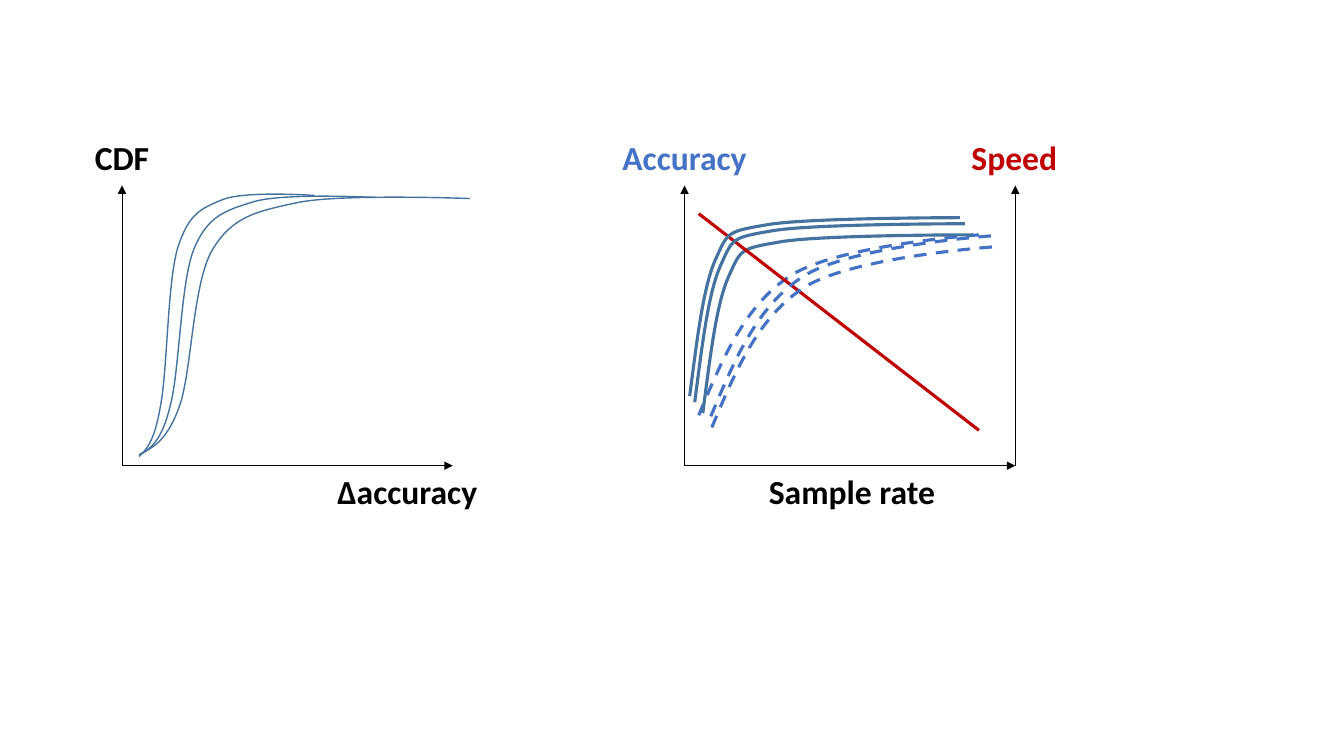
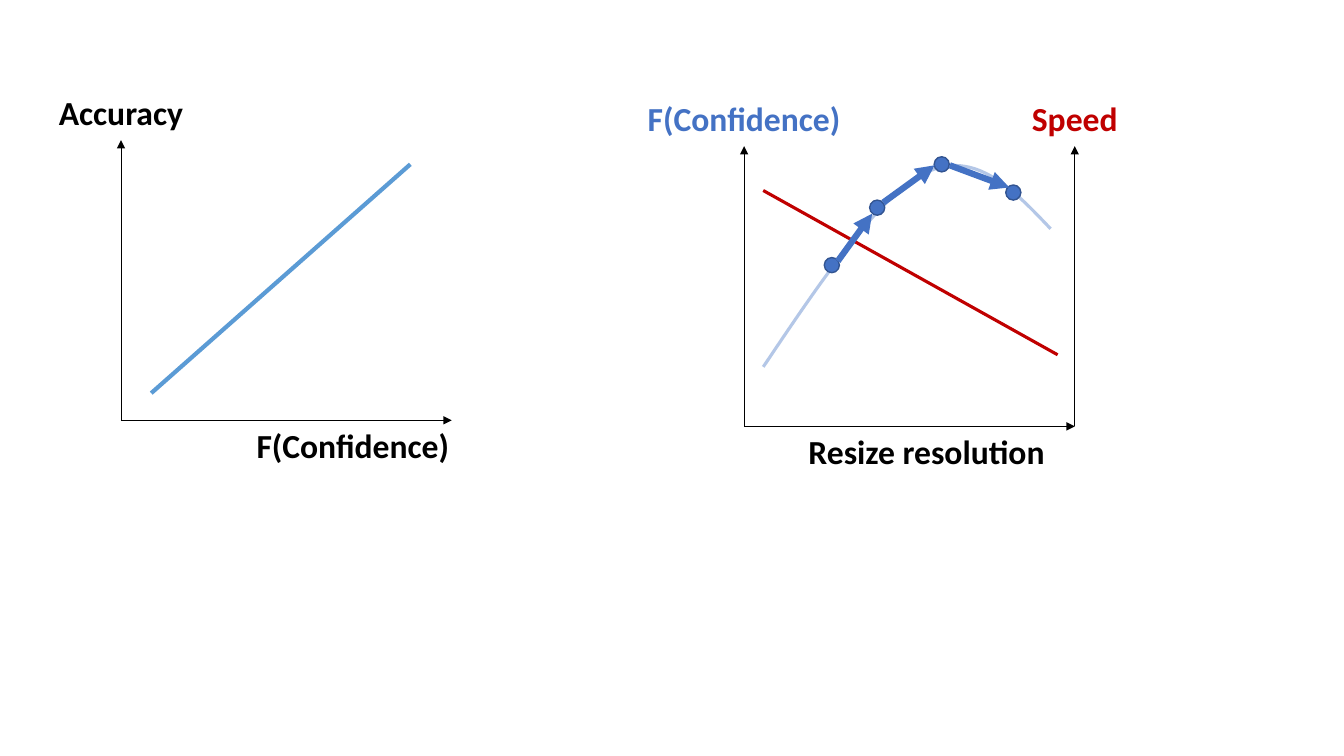
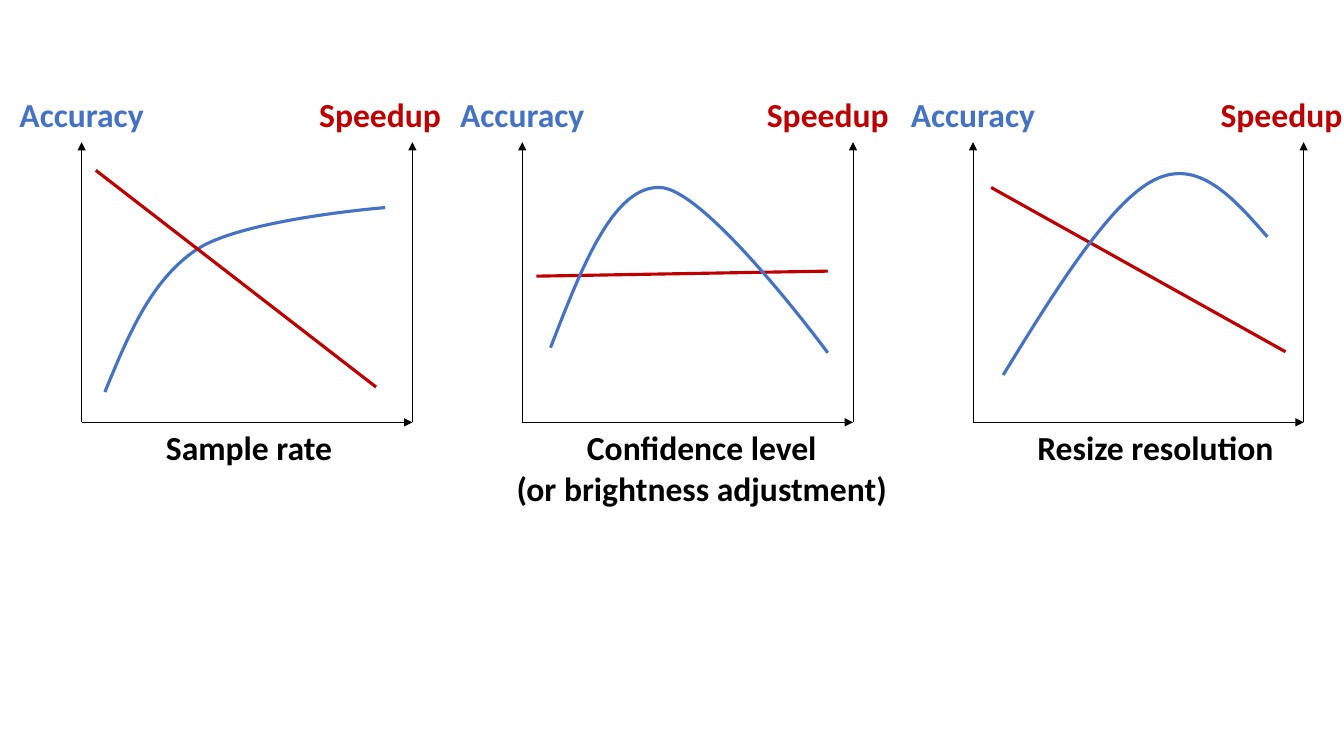
"""Build three slides of sketched accuracy and speed trade-off plots."""
import lxml.etree
import pptx
import pptx.dml.color
import pptx.enum.dml
import pptx.enum.shapes
import pptx.enum.text
import pptx.oxml.ns
import pptx.util

PX = 9144
RGBColor = pptx.dml.color.RGBColor
BLACK = RGBColor(0, 0, 0)
BLUE = RGBColor(0x44, 0x72, 0xC4)
STEEL = RGBColor(0x43, 0x73, 0x9E)
SKY = RGBColor(0x5B, 0x9B, 0xD5)
PALE = RGBColor(0xB4, 0xC7, 0xE7)
NAVY = RGBColor(0x32, 0x54, 0x91)
RED = RGBColor(0xC0, 0, 0)

AXIS_WIDTH, AXIS_HEIGHT = 328, 278
LABEL_RISE, LINE_HEIGHT, LABEL_PADDING = 53, 40, 10
DOT_SIZE = 15
LABEL_WIDTHS = {
    "CDF": 146, "Accuracy": 146, "F(Confidence)": 214, "Speed": 106,
    "Speedup": 142, "Δaccuracy": 164, "Sample rate": 187,
    "Resize resolution": 257,
    "Confidence level\n(or brightness adjustment)": 392,
}

STYLES = {
    "cdf": (STEEL, 1, False),
    "solid": (STEEL, 2.25, False),
    "dashed": (BLUE, 2.25, True),
    "accuracy": (BLUE, 2.25, False),
    "speed": (RED, 2.25, False),
    "confidence": (SKY, 3, False),
    "faded": (PALE, 2.25, False),
}

# Offsets from the start: one point is a straight line, triples are Bézier curves.
CDF = [(14, -7), (28, -14), (40, -48), (52, -81), (53, -168), (72, -202),
       (92, -236), (115, -241), (157, -250), (200, -259), (328, -254), (328, -254)]
STEEP = [(7, -53), (13, -106), (25, -134), (38, -163), (36, -163),
         (77, -170), (117, -177), (268, -177), (268, -177)]
GRADUAL = [(23, -55), (46, -110), (92, -139), (139, -169), (278, -179), (278, -179)]
HILL = [(57, -85), (115, -171), (162, -193), (210, -216), (248, -176), (285, -137)]
PEAK = [(31, -80), (62, -160), (108, -159), (154, -159), (275, 5), (275, 5)]
RISING = [(257, -227)]
SAMPLE_SPEED = [(278, 215)]
RESIZE_SPEED = [(292, 163)]
LEVEL_SPEED = [(289, -5)]

SLIDES = [
    [
        {"origin": (121, 462), "left": ("CDF", BLACK), "bottom": ("Δaccuracy", 404),
         "traces": [("cdf", CDF, (138, 451), 1, 1),
                    ("cdf", CDF, (141, 450), 0.71, 1),
                    ("cdf", CDF, (138, 453), 0.53, 1.02)]},
        {"origin": (679, 462), "left": ("Accuracy", BLUE), "right": ("Speed", 1006),
         "bottom": ("Sample rate", 845),
         "traces": [("dashed", GRADUAL, (693, 412), 1, 1),
                    ("solid", STEEP, (697, 410), 1, 1),
                    ("speed", SAMPLE_SPEED, (693, 212), 1, 1),
                    ("solid", STEEP, (689, 399), 1, 1),
                    ("dashed", GRADUAL, (705, 413), 1, 1),
                    ("dashed", GRADUAL, (706, 424), 1, 1),
                    ("solid", STEEP, (684, 393), 1, 1)]},
    ],
    [
        {"origin": (120, 417), "left": ("Accuracy", BLACK), "bottom": ("F(Confidence)", 350),
         "traces": [("confidence", RISING, (150, 390), 1, 1)]},
        {"origin": (738, 423), "left": ("F(Confidence)", BLUE), "right": ("Speed", 1066),
         "bottom": ("Resize resolution", 919),
         "traces": [("speed", RESIZE_SPEED, (757, 189), 1, 1),
                    ("faded", HILL, (757, 364), 1, 1)],
         "dots": [(870, 206), (934, 163), (825, 263), (1005, 191)],
         "steps": [((831, 259), (865, 212)), ((876, 201), (927, 164)),
                   ((942, 164), (1001, 186))]},
    ],
    [
        {"origin": (81, 419), "left": ("Accuracy", BLUE), "right": ("Speedup", 377),
         "bottom": ("Sample rate", 247),
         "traces": [("accuracy", GRADUAL, (104, 389), 1, 1.02),
                    ("speed", SAMPLE_SPEED, (95, 169), 1, 1)]},
        {"origin": (518, 419), "left": ("Accuracy", BLUE), "right": ("Speedup", 821),
         "bottom": ("Confidence level\n(or brightness adjustment)", 696),
         "traces": [("speed", LEVEL_SPEED, (532, 274), 1, 1),
                    ("accuracy", PEAK, (546, 345), 1, 1)]},
        {"origin": (965, 419), "left": ("Accuracy", BLUE), "right": ("Speedup", 1271),
         "bottom": ("Resize resolution", 1146),
         "traces": [("speed", RESIZE_SPEED, (983, 186), 1, 1),
                    ("accuracy", HILL, (995, 372), 0.92, 1)]},
    ],
]


def qn(tag):
    return pptx.oxml.ns.qn(tag)


def style_line(line, color, width, dashed=False):
    line.color.rgb = color
    line.width = pptx.util.Pt(width)
    if dashed:
        line.dash_style = pptx.enum.dml.MSO_LINE.DASH


def add_line(page, start, end, color, width, dashed=False, arrow=False):
    connector = page.shapes.add_connector(
        pptx.enum.shapes.MSO_CONNECTOR.STRAIGHT, *(value * PX for value in (*start, *end)))
    style_line(connector.line, color, width, dashed)
    properties = connector.element.spPr
    if arrow:
        lxml.etree.SubElement(properties.find(qn("a:ln")), qn("a:tailEnd"), type="triangle")
    lxml.etree.SubElement(properties, qn("a:effectLst"))


def bezier(anchors, t):
    weights = ((1 - t) ** 3, 3 * t * (1 - t) ** 2, 3 * t * t * (1 - t), t ** 3)
    return tuple(sum(weight * anchor[axis] for weight, anchor in zip(weights, anchors))
                 for axis in (0, 1))


def add_curve(page, points, color, width, dashed):
    pieces = [points[index:index + 4] for index in range(0, len(points) - 1, 3)]
    samples = [bezier(piece, step / 20) for piece in pieces for step in range(1, 21)]
    builder = page.shapes.build_freeform(*points[0], scale=PX)
    builder.add_line_segments(samples, close=False)
    curve = builder.convert_to_shape()
    curve.shadow.inherit = False
    curve.fill.background()
    style_line(curve.line, color, width, dashed)
    outline = curve.element.find(".//" + qn("a:path"))
    for segment in outline.findall(qn("a:lnTo")):
        outline.remove(segment)
    for piece in pieces:
        segment = lxml.etree.SubElement(outline, qn("a:cubicBezTo"))
        for x, y in piece[1:]:
            lxml.etree.SubElement(segment, qn("a:pt"), x=str(round(x - curve.left / PX)),
                                  y=str(round(y - curve.top / PX)))


def add_trace(page, style, offsets, start, stretch_x, stretch_y):
    points = [start] + [(start[0] + round(x * stretch_x), start[1] + round(y * stretch_y))
                        for x, y in offsets]
    draw = add_curve if len(points) > 2 else lambda page, ends, *look: add_line(page, *ends, *look)
    draw(page, points, *STYLES[style])


def add_label(page, text, center, top, color):
    width = LABEL_WIDTHS[text]
    height = LABEL_PADDING + LINE_HEIGHT * len(text.split("\n"))
    box = page.shapes.add_textbox(
        round((center - width / 2) * PX), top * PX, width * PX, height * PX)
    box.text_frame.text = text
    box.text_frame.word_wrap = False
    for paragraph in box.text_frame.paragraphs:
        paragraph.alignment = pptx.enum.text.PP_ALIGN.CENTER
        for span in paragraph.runs:
            span.font.name = "Calibri"
            span.font.size = pptx.util.Pt(24)
            span.font.bold = True
            span.font.color.rgb = color


def add_dot(page, x, y):
    dot = page.shapes.add_shape(
        pptx.enum.shapes.MSO_SHAPE.OVAL, round((x - DOT_SIZE / 2) * PX),
        round((y - DOT_SIZE / 2) * PX), DOT_SIZE * PX, DOT_SIZE * PX)
    dot.shadow.inherit = False
    dot.fill.solid()
    dot.fill.fore_color.rgb = BLUE
    style_line(dot.line, NAVY, 1)


def add_plot(page, plot):
    x, bottom = plot["origin"]
    top, right = bottom - AXIS_HEIGHT, x + AXIS_WIDTH
    axis_ends = [((x, bottom), (x, top)), ((x, bottom), (right, bottom))]
    text, color = plot["left"]
    add_label(page, text, x, top - LABEL_RISE, color)
    text, center = plot["bottom"]
    add_label(page, text, center, bottom, BLACK)
    if "right" in plot:
        axis_ends.append(((right, bottom), (right, top)))
        text, center = plot["right"]
        add_label(page, text, center, top - LABEL_RISE, RED)
    for start, end in axis_ends:
        add_line(page, start, end, BLACK, 0.5, arrow=True)
    for trace in plot["traces"]:
        add_trace(page, *trace)
    for dot in plot.get("dots", []):
        add_dot(page, *dot)
    for start, end in plot.get("steps", []):
        add_line(page, start, end, BLUE, 4.5, arrow=True)


def main():
    deck = pptx.Presentation()
    deck.slide_width, deck.slide_height = 1333 * PX, 750 * PX
    for plots in SLIDES:
        page = deck.slides.add_slide(deck.slide_layouts[6])
        for plot in plots:
            add_plot(page, plot)
    deck.save("out.pptx")


if __name__ == "__main__":
    main()
